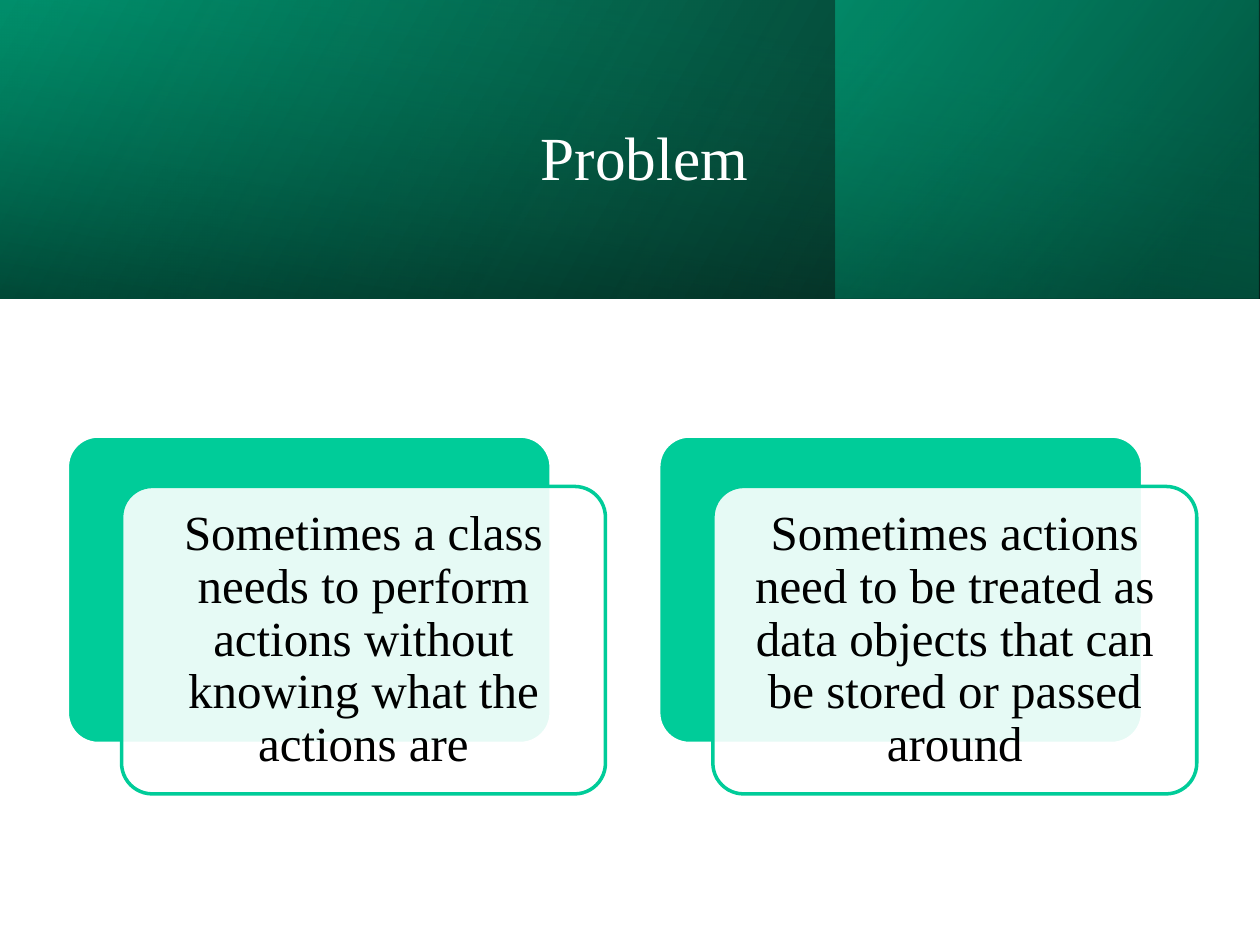
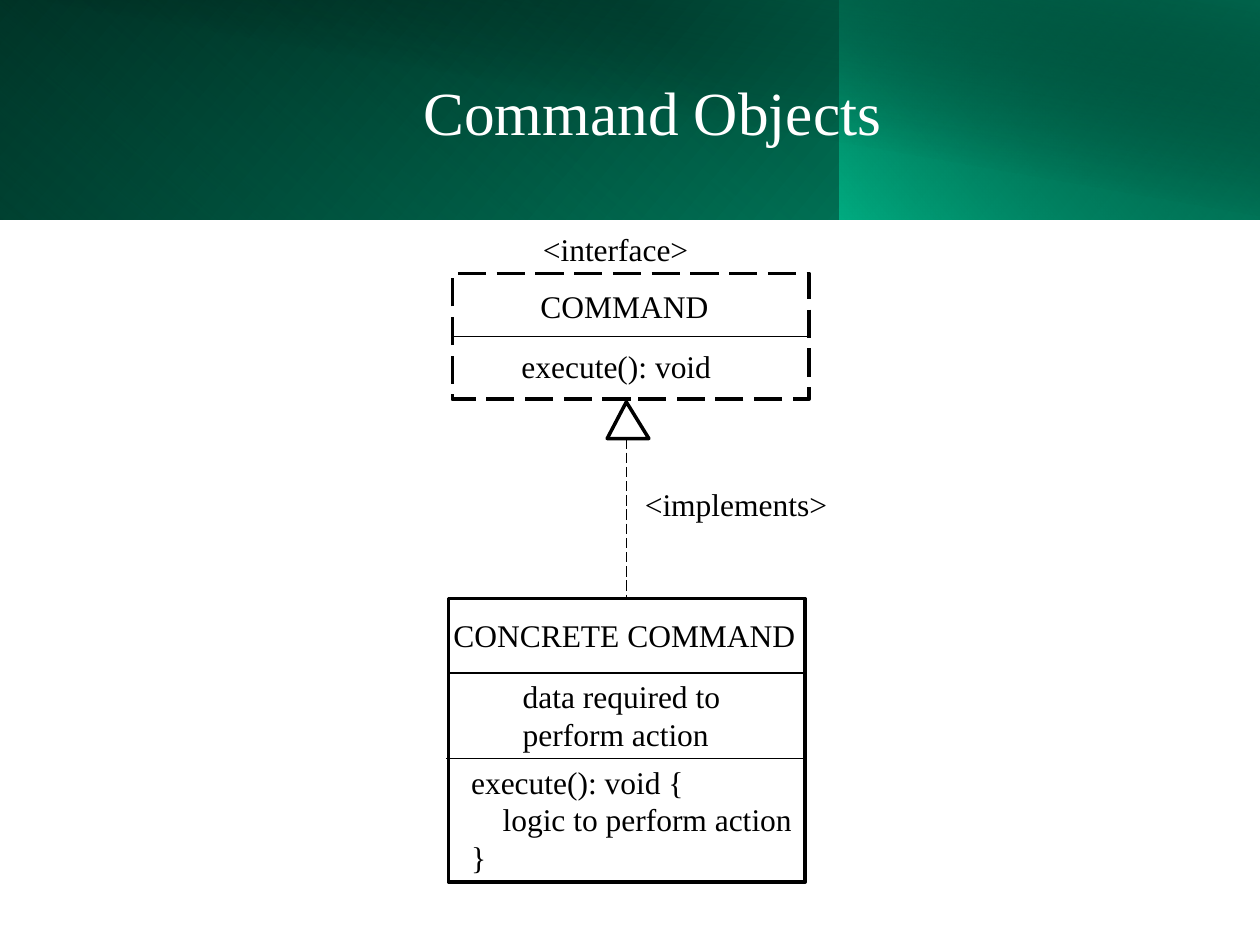
"""Build two slides on the command pattern: the problem and its class diagram."""
import pptx
import pptx.dml.color
import pptx.enum.dml
import pptx.enum.shapes
import pptx.enum.text
import pptx.oxml.ns
import pptx.oxml.xmlchemy
import pptx.util

Pt = pptx.util.Pt
SHAPE = pptx.enum.shapes.MSO_SHAPE
ALIGN = pptx.enum.text.PP_ALIGN
ANCHOR = pptx.enum.text.MSO_ANCHOR
FIT = pptx.enum.text.MSO_AUTO_SIZE
DASH = pptx.enum.dml.MSO_LINE.LONG_DASH
qn = pptx.oxml.ns.qn

COLORS = {
    "black": "000000",
    "white": "FFFFFF",
    "mint": "00CC99",
    "green": "009973",
    "forest": "00664D",
}
FONT = "Times New Roman"
TITLE = {"size": 35, "color": "white", "align": ALIGN.CENTER,
         "frame": {"vertical_anchor": ANCHOR.MIDDLE, "word_wrap": True}}
CARD = {"size": 28, "align": ALIGN.CENTER, "spacing": 0.9,
        "frame": {"vertical_anchor": ANCHOR.MIDDLE, "word_wrap": True,
                  "margin_left": Pt(8.64), "margin_right": Pt(8.64),
                  "margin_top": Pt(8.64), "margin_bottom": Pt(8.64)}}
LABEL = {"size": 18, "frame": {"word_wrap": False, "auto_size": FIT.SHAPE_TO_FIT_TEXT}}


def rgb(name):
    return pptx.dml.color.RGBColor.from_string(COLORS[name])


def apply(obj, values):
    for name, value in values.items():
        setattr(obj, name, value)


class Deck:
    """Hold the presentation, its style and the current slide."""

    def __init__(self):
        self.prs = pptx.Presentation()
        apply(self.prs, {"slide_width": Pt(720), "slide_height": Pt(540)})
        self.s = None

    def slide(self, title, title_box, bands):
        self.s = self.prs.slides.add_slide(self.prs.slide_layouts[6])
        for band in bands:
            self.band(*band)
        self.text(title_box, [title], TITLE)

    def alpha(self, parent, percent):
        clr = next(parent.iter(qn("a:srgbClr")))
        alpha = clr.makeelement(qn("a:alpha"), {"val": str(percent * 1000)})
        clr.append(alpha)

    def shape(self, kind, box, fill=None, line=None, weight=2, dash=None, adj=None, opacity=100):
        sp = self.s.shapes.add_shape(kind, *map(Pt, box))
        sp.shadow.inherit = False
        if fill:
            sp.fill.solid()
            sp.fill.fore_color.rgb = rgb(fill)
            if opacity < 100:
                self.alpha(sp._element.spPr.find(qn("a:solidFill")), opacity)
        else:
            sp.fill.background()
        if line:
            self.stroke(sp.line, line, weight, dash)
        else:
            sp.line.fill.background()
        if adj is not None:
            sp.adjustments[0] = adj
        return sp

    def stroke(self, line, color, weight, dash):
        line.color.rgb = rgb(color)
        apply(line, {"width": Pt(weight), "dash_style": dash})

    def band(self, box, angle, stops, flip=True, rotation=0):
        sp = self.shape(SHAPE.RECTANGLE, box)
        sp.rotation = rotation
        if flip:
            sp._element.spPr.find(qn("a:xfrm")).set("flipH", "1")
        sp.fill.gradient()
        sp.fill.gradient_angle = 360 - angle
        elements = sp._element.spPr.iter(qn("a:gs"))
        for stop, gs, (position, color, opacity) in zip(sp.fill.gradient_stops, elements, stops):
            stop.position = position / 100
            stop.color.rgb = rgb(color)
            if opacity < 100:
                self.alpha(gs, opacity)

    def text(self, box, lines, style, indents=()):
        tf = self.s.shapes.add_textbox(*map(Pt, box)).text_frame
        apply(tf, style["frame"])
        for i, line in enumerate(lines):
            p = tf.add_paragraph() if i else tf.paragraphs[0]
            apply(p, {"alignment": style.get("align"), "line_spacing": style.get("spacing")})
            if i in indents:
                p._p.get_or_add_pPr().set("marL", str(Pt(18)))
            r = p.add_run()
            r.text = line
            apply(r.font, {"name": FONT, "size": Pt(style["size"])})
            r.font.color.rgb = rgb(style.get("color", "black"))

    def line(self, start, end, dash=None, begin_at=None, end_at=None):
        straight = pptx.enum.shapes.MSO_CONNECTOR.STRAIGHT
        c = self.s.shapes.add_connector(straight, *map(Pt, start + end))
        if begin_at:
            c.begin_connect(*begin_at)
        if end_at:
            c.end_connect(*end_at)
        self.stroke(c.line, "black", 0.75, dash)
        spPr = c._element.spPr
        spPr.append(spPr.makeelement(qn("a:effectLst"), {}))

    def card(self, left, top, text):
        self.shape(SHAPE.ROUNDED_RECTANGLE, (left, top, 276.5, 175.7), "mint", "white", adj=0.1)
        self.shape(SHAPE.ROUNDED_RECTANGLE, (left + 31, top + 28.8, 276.5, 175.7),
                   "white", "mint", adj=0.1, opacity=90)
        self.text((left + 36, top + 33.8, 266.4, 165.6), [text], CARD)


def problem(deck):
    deck.slide("Problem", (81.4, 27.4, 573.8, 123.8), [
        ((0, 0, 720, 170.6), 330, [(0, "black", 96), (100, "green", 100)]),
        ((477.4, 0, 242, 170.6), 320, [(19, "forest", 68), (100, "mint", 48)]),
        ((274.3, -274.7, 170.6, 720), 350, [(23, "green", 16), (99, "black", 45)], True, 270),
    ])
    cards = ["Sometimes a class needs to perform actions without knowing what the actions are",
             "Sometimes actions need to be treated as data objects that can be stored or passed around"]
    for i, text in enumerate(cards):
        deck.card(38.5 + i * 337.9, 249.2, text)


def command_objects(deck):
    deck.slide("Command Objects", (80.6, 23, 584.6, 81.4), [
        ((0, 0, 720, 125.3), 140, [(0, "black", 100), (100, "green", 100)]),
        ((0, 0, 479.5, 125.3), 230, [(20, "mint", 0), (100, "forest", 55)], True, 180),
        ((479.5, 0, 240.5, 125.3), 220, [(0, "mint", 66), (100, "black", 30)]),
        ((27.4, 0, 692.6, 126), 280, [(50, "black", 0), (99, "forest", 52)], False),
    ])
    command = deck.shape(SHAPE.RECTANGLE, (258.5, 156.2, 203.8, 72), line="black", dash=DASH)
    concrete = deck.shape(SHAPE.RECTANGLE, (256.3, 342, 203.8, 162), line="black")
    deck.shape(SHAPE.ISOSCELES_TRIANGLE, (347, 229.7, 23.8, 20.9), line="black", adj=0.46)
    deck.line((258.5, 192.2), (462.3, 192.2), begin_at=(command, 1), end_at=(command, 3))
    deck.line((256.3, 384.5), (460.1, 384.5))
    deck.line((254.9, 433.4), (459.4, 433.4))
    deck.line((358.2, 250.6), (358.2, 342), DASH, end_at=(concrete, 0))
    labels = [
        ((301.7, 160.6, 111.6, 28.8), ["COMMAND"]),
        ((303.1, 127.8, 98.6, 28.8), ["<interface>"]),
        ((290.9, 194.8, 123.8, 28.8), ["execute(): void"]),
        ((361.4, 273.8, 119.5, 28.8), ["<implements>"]),
        ((252, 348.5, 211.7, 28.8), ["CONCRETE COMMAND"]),
        ((291.6, 383.2, 133.2, 51), ["data required to", "perform action"]),
    ]
    for box, lines in labels:
        deck.text(box, lines, LABEL)
    deck.text((262.1, 432.2, 200.2, 72.7),
              ["execute(): void {", "logic to perform action", "}"], LABEL, indents=(1,))


def main():
    deck = Deck()
    problem(deck)
    command_objects(deck)
    deck.prs.save("out.pptx")


if __name__ == "__main__":
    main()
